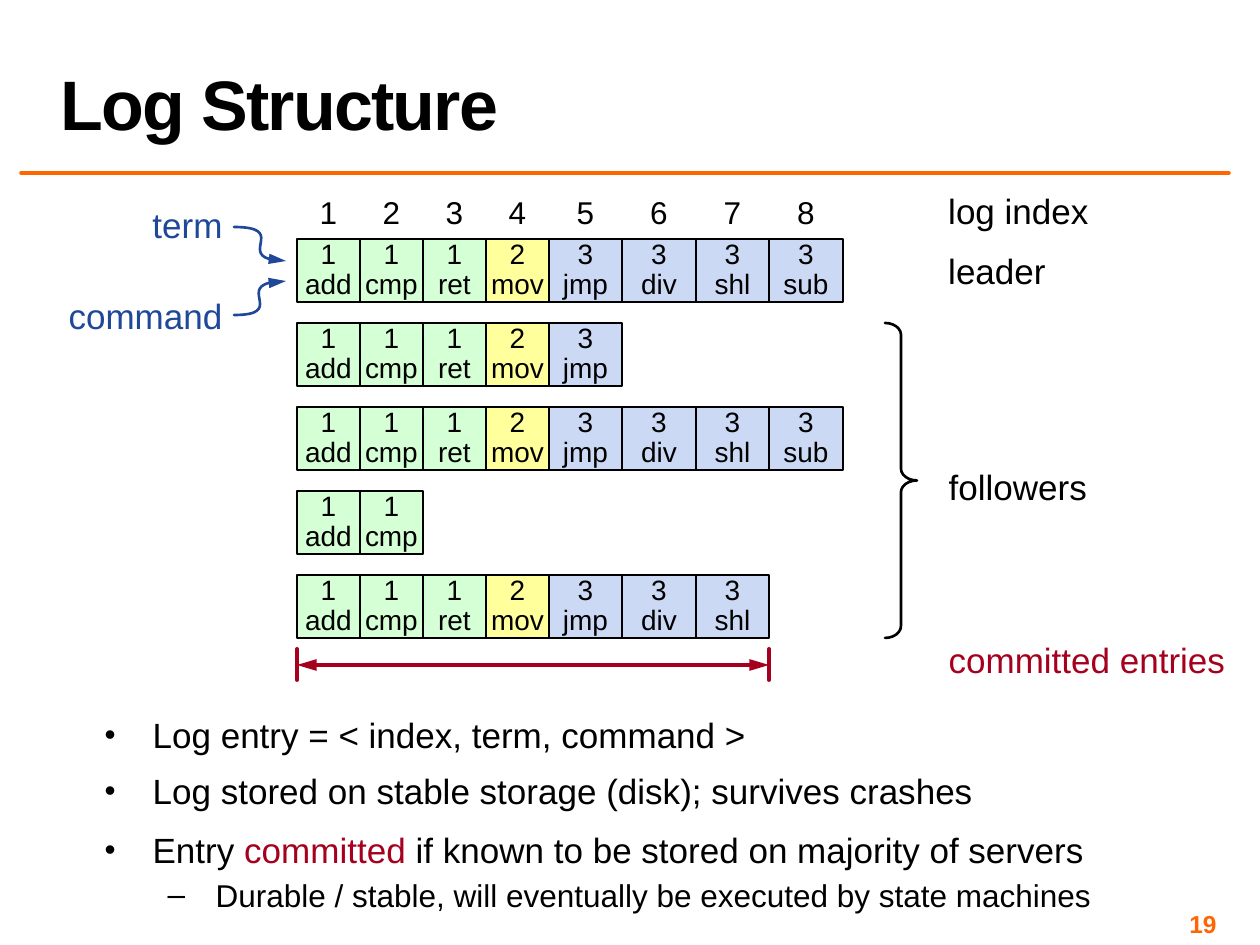
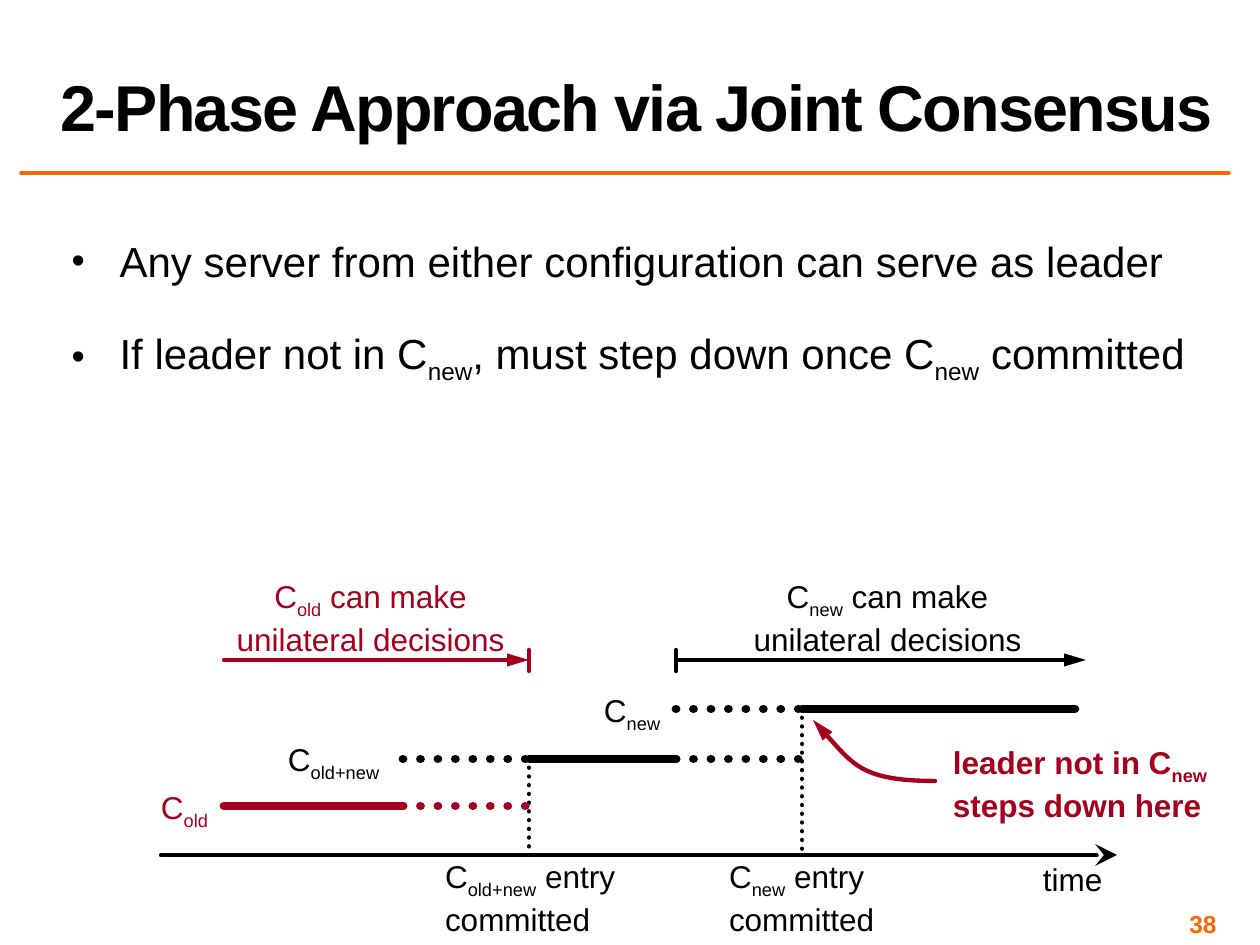
from dataclasses import dataclass
from typing import NamedTuple, Optional, Union

import pptx
import pptx.dml.color
import pptx.enum.dml
import pptx.enum.shapes
import pptx.enum.text
import pptx.oxml
import pptx.oxml.ns
import pptx.util

FONT = "Arial"
BLACK, RED, BLUE = "000000", "A5001E", "1F4899"
RULE_ORANGE, NUMBER_ORANGE = "FF6600", "FF6501"
TERM_FILLS = {1: "D5FFD5", 2: "FFFF9B", 3: "CCD9F4"}

Pt = pptx.util.Pt
SHAPE = pptx.enum.shapes.MSO_SHAPE
ALIGN = pptx.enum.text.PP_ALIGN
ANCHOR = pptx.enum.text.MSO_ANCHOR
AUTO = pptx.enum.text.MSO_AUTO_SIZE


class Box(NamedTuple):
    x: int
    y: int
    w: int
    h: int


class Run(NamedTuple):
    text: str
    sub: bool = False
    color: Optional[str] = None


Text = tuple[Union[str, Run], ...]


@dataclass
class Bullet:
    text: Text
    size: float
    before: float
    after: float = 0
    level: int = 0


@dataclass
class Label:
    box: Box
    lines: tuple[Text, ...]
    size: float = 18
    color: str = BLACK
    align: ALIGN = ALIGN.LEFT
    bold: bool = False


@dataclass
class Stroke:
    x1: int
    y1: int
    x2: int
    y2: int
    color: str = BLACK
    width: float = 2.5
    dotted: bool = False
    head: str = ""
    tail: str = ""


# Shared helpers
def px(n: float) -> int:
    return round(n * 914400 / 126)


def rgb(color: str) -> pptx.dml.color.RGBColor:
    return pptx.dml.color.RGBColor.from_string(color)


def place(shape, box: Box) -> None:
    shape.left, shape.top, shape.width, shape.height = map(px, box)


def add_xml(parent, tag: str, **attrs: str):
    child = pptx.oxml.ns.qn(tag)
    el = parent.makeelement(child, attrs)
    parent.append(el)
    return el


def add_text(p, parts: Text) -> None:
    for part in parts:
        run = Run(part) if isinstance(part, str) else part
        for i, line in enumerate(run.text.split("\n")):
            if i:
                p.add_line_break()
            if not line:
                continue
            r = p.add_run()
            r.text = line
            if run.sub:
                r._r.get_or_add_rPr().set("baseline", "-25000")
            if run.color:
                r.font.color.rgb = rgb(run.color)


def set_font(p, size: float, color: str = BLACK, bold: bool = False) -> None:
    p.font.name, p.font.size, p.font.bold = FONT, Pt(size), bold
    p.font.color.rgb = rgb(color)


def no_insets(tf) -> None:
    tf.margin_left = tf.margin_right = tf.margin_top = tf.margin_bottom = 0


def style_line(shape, color: str, width: float, dotted: bool = False,
               head: str = "", tail: str = "") -> None:
    shape.line.color.rgb = rgb(color)
    shape.line.width = Pt(width)
    if dotted:
        shape.line.dash_style = pptx.enum.dml.MSO_LINE.ROUND_DOT
    ln = shape.line._get_or_add_ln()
    ln.set("cap", "rnd")
    add_xml(ln, "a:round")
    for tag, kind in (("a:headEnd", head), ("a:tailEnd", tail)):
        if kind:
            wide = "lg" if kind == "stealth" else "med"
            add_xml(ln, tag, type=kind, w=wide, len="lg")


def draw_stroke(s, k: Stroke) -> None:
    c = s.shapes.add_connector(pptx.enum.shapes.MSO_CONNECTOR.STRAIGHT,
                               px(k.x1), px(k.y1), px(k.x2), px(k.y2))
    style_line(c, k.color, k.width, k.dotted, k.head, k.tail)
    add_xml(c._element.spPr, "a:effectLst")


def draw_curve(s, points: list[tuple[int, int]], color: str, width: float) -> None:
    """Draw one cubic curve with an arrowhead at its end."""
    start, *rest = [(px(x), px(y)) for x, y in points]
    builder = s.shapes.build_freeform(*start)
    builder.add_line_segments(rest, close=False)
    shape = builder.convert_to_shape()
    segments = shape._element.xpath(".//a:lnTo")
    curve = add_xml(segments[0].getparent(), "a:cubicBezTo")
    for segment in segments:
        curve.append(segment[0])
        segment.getparent().remove(segment)
    shape.fill.background()
    shape.shadow.inherit = False
    style_line(shape, color, width, tail="triangle")


def draw_label(s, label: Label) -> None:
    tf = s.shapes.add_textbox(*map(px, label.box)).text_frame
    no_insets(tf)
    tf.word_wrap = False
    tf.auto_size = AUTO.SHAPE_TO_FIT_TEXT
    for i, line in enumerate(label.lines):
        p = tf.add_paragraph() if i else tf.paragraphs[0]
        p.alignment = label.align
        set_font(p, label.size, label.color, label.bold)
        add_text(p, line)


def fill_body(s, box: Box, bullets: list[Bullet]) -> None:
    body = s.placeholders[1]
    place(body, box)
    tf = body.text_frame
    tf.auto_size = AUTO.NONE
    for i, b in enumerate(bullets):
        p = tf.add_paragraph() if i else tf.paragraphs[0]
        p.level = b.level
        p.space_before, p.space_after = Pt(b.before), Pt(b.after)
        pPr = p._p.get_or_add_pPr()
        pPr.set("marL", str(px(48 + 63 * b.level)))
        pPr.set("indent", str(px(-48)))
        add_xml(add_xml(pPr, "a:buClr"), "a:srgbClr", val=BLACK)
        add_xml(pPr, "a:buSzPct", val="100000" if b.level else "90000")
        add_xml(pPr, "a:buChar", char="–" if b.level else "•")
        set_font(p, b.size)
        add_text(p, b.text)


def new_slide(prs, title: str, size: float, width: int, number: int):
    s = prs.slides.add_slide(prs.slide_layouts[1])
    draw_stroke(s, Stroke(21, 173, 1229, 173, RULE_ORANGE, 2))
    # Title
    place(s.shapes.title, Box(48, 3, width, 147))
    tf = s.shapes.title.text_frame
    tf.auto_size = AUTO.NONE
    tf.vertical_anchor = ANCHOR.BOTTOM
    p = tf.paragraphs[0]
    p.alignment, p.line_spacing = ALIGN.LEFT, 0.8
    set_font(p, size, bold=True)
    add_text(p, (title,))
    p.runs[0]._r.get_or_add_rPr().set("spc", "-100")
    # Slide number
    tf = s.shapes.add_textbox(*map(px, Box(935, 903, 294, 29))).text_frame
    tf.word_wrap = True
    p = tf.paragraphs[0]
    p.alignment = ALIGN.RIGHT
    set_font(p, 14, NUMBER_ORANGE, bold=True)
    add_text(p, (str(number),))
    return s


# Slide: log structure
ENTRIES = [(1, "add"), (1, "cmp"), (1, "ret"), (2, "mov"),
           (3, "jmp"), (3, "div"), (3, "shl"), (3, "sub")]
LOG_LENGTHS = [8, 5, 8, 2, 7]
EDGES = [297 + 63 * i for i in range(4)] + [549 + 147 * i // 2 for i in range(5)]


def draw_entry(s, box: Box, term: int, command: str) -> None:
    cell = s.shapes.add_shape(SHAPE.RECTANGLE, *map(px, box))
    cell.shadow.inherit = False
    cell.fill.solid()
    cell.fill.fore_color.rgb = rgb(TERM_FILLS[term])
    cell.line.color.rgb = rgb(BLACK)
    cell.line.width = Pt(1.5)
    tf = cell.text_frame
    no_insets(tf)
    tf.vertical_anchor = ANCHOR.MIDDLE
    p = tf.paragraphs[0]
    p.alignment, p.line_spacing = ALIGN.CENTER, Pt(17)
    set_font(p, 16)
    add_text(p, (f"{term}\n{command}",))


def log_structure(prs) -> None:
    s = new_slide(prs, "Log Structure", 40, 1181, 19)
    fill_body(s, Box(92, 707, 1134, 218), [
        Bullet(("Log entry = < index, term, command >",), 20, 4, 4),
        Bullet(("Log stored on stable storage (disk); survives crashes",), 20, 4, 4),
        Bullet(("Entry ", Run("committed", color=RED),
                " if known to be stored on majority of servers"), 20, 6),
        Bullet(("Durable / stable, will eventually be executed by state machines",),
               18, 3, level=1),
    ])
    # Logs and their indexes
    columns = list(zip(EDGES, EDGES[1:], ENTRIES))
    for row, length in enumerate(LOG_LENGTHS):
        for left, right, (term, command) in columns[:length]:
            draw_entry(s, Box(left, 239 + 84 * row, right - left, 63), term, command)
    for i, (left, right, _) in enumerate(columns, 1):
        draw_label(s, Label(Box(left, 193, right - left, 38), ((str(i),),),
                            align=ALIGN.CENTER))
    # Side labels
    for text, x, y, w, color in [
            ("log index", 948, 189, 141, BLACK), ("leader", 948, 249, 98, BLACK),
            ("followers", 948, 465, 140, BLACK),
            ("committed entries", 948, 638, 278, RED),
            ("term", 152, 203, 71, BLUE), ("command", 68, 294, 155, BLUE)]:
        draw_label(s, Label(Box(x, y, w, 43), ((text,),), 20, color, ALIGN.CENTER))
    brace = s.shapes.add_shape(SHAPE.RIGHT_BRACE, *map(px, Box(885, 323, 32, 315)))
    brace.adjustments[0] = 0.37
    brace.fill.background()
    brace.shadow.inherit = False
    style_line(brace, BLACK, 1.5)
    # Committed range and pointers
    first, last = EDGES[0], EDGES[7]
    for x in (first, last):
        draw_stroke(s, Stroke(x, 649, x, 680, RED, 2.25))
    draw_stroke(s, Stroke(first, 665, last, 665, RED, 2.25,
                          head="triangle", tail="triangle"))
    draw_curve(s, [(234, 227), (285, 227), (231, 260), (286, 261)], BLUE, 1.5)
    draw_curve(s, [(234, 315), (284, 315), (229, 282), (286, 281)], BLUE, 1.5)


# Slide: joint consensus
OLD, NEW, BOTH = (("C", Run(name, sub=True)) for name in ("old", "new", "old+new"))
START, JOINT, OLD_END, NEW_START, NEW_END = 224, 403, 529, 676, 802
AXIS_Y, OLD_Y, BOTH_Y, NEW_Y, SPAN_Y = 855, 806, 759, 709, 660


def joint_consensus(prs) -> None:
    s = new_slide(prs, "2-Phase Approach via Joint Consensus", 37, 1212, 38)
    fill_body(s, Box(59, 229, 1201, 316), [
        Bullet(("Any server from either configuration can serve as leader",), 24, 12),
        Bullet(("If leader not in ", *NEW, ", must step down once ", *NEW,
                " committed"), 24, 24),
    ])
    # Timeline, periods and spans
    for k in [
            Stroke(161, AXIS_Y, 1117, AXIS_Y, tail="stealth"),
            Stroke(OLD_END, BOTH_Y, OLD_END, AXIS_Y, dotted=True),
            Stroke(NEW_END, NEW_Y, NEW_END, AXIS_Y, dotted=True),
            Stroke(START, OLD_Y, JOINT, OLD_Y, RED, 5),
            Stroke(JOINT, OLD_Y, OLD_END, OLD_Y, RED, 5, True),
            Stroke(JOINT, BOTH_Y, OLD_END, BOTH_Y, BLACK, 5, True),
            Stroke(OLD_END, BOTH_Y, NEW_START, BOTH_Y, BLACK, 5),
            Stroke(NEW_START, BOTH_Y, NEW_END, BOTH_Y, BLACK, 5, True),
            Stroke(NEW_START, NEW_Y, NEW_END, NEW_Y, BLACK, 5, True),
            Stroke(NEW_END, NEW_Y, 1075, NEW_Y, BLACK, 5),
            Stroke(START, SPAN_Y, OLD_END, SPAN_Y, RED, tail="triangle"),
            Stroke(NEW_START, SPAN_Y, 1086, SPAN_Y, tail="triangle"),
            Stroke(OLD_END, 650, OLD_END, 671, RED),
            Stroke(NEW_START, 650, NEW_START, 671)]:
        draw_stroke(s, k)
    draw_curve(s, [(935, 781), (863, 781), (848, 759), (813, 720)], RED, 2.5)
    # Labels
    decisions = ("unilateral decisions",)
    for label in [
            Label(Box(1043, 860, 60, 38), (("time",),)),
            Label(Box(445, 857, 181, 77), ((*BOTH, " entry\ncommitted"),)),
            Label(Box(729, 857, 146, 77), ((*NEW, " entry\ncommitted"),)),
            Label(Box(161, 788, 50, 38), (OLD,), color=RED),
            Label(Box(288, 740, 102, 38), (BOTH,)),
            Label(Box(604, 691, 62, 38), (NEW,)),
            Label(Box(235, 577, 271, 77), ((*OLD, " can make"), decisions),
                  color=RED, align=ALIGN.CENTER),
            Label(Box(752, 577, 271, 77), ((*NEW, " can make"), decisions),
                  align=ALIGN.CENTER),
            Label(Box(953, 743, 262, 77),
                  (("leader not in ", *NEW, "\nsteps down here"),), color=RED, bold=True)]:
        draw_label(s, label)


prs = pptx.Presentation()
prs.slide_width, prs.slide_height = px(1260), px(945)
log_structure(prs)
joint_consensus(prs)
prs.save("out.pptx")
